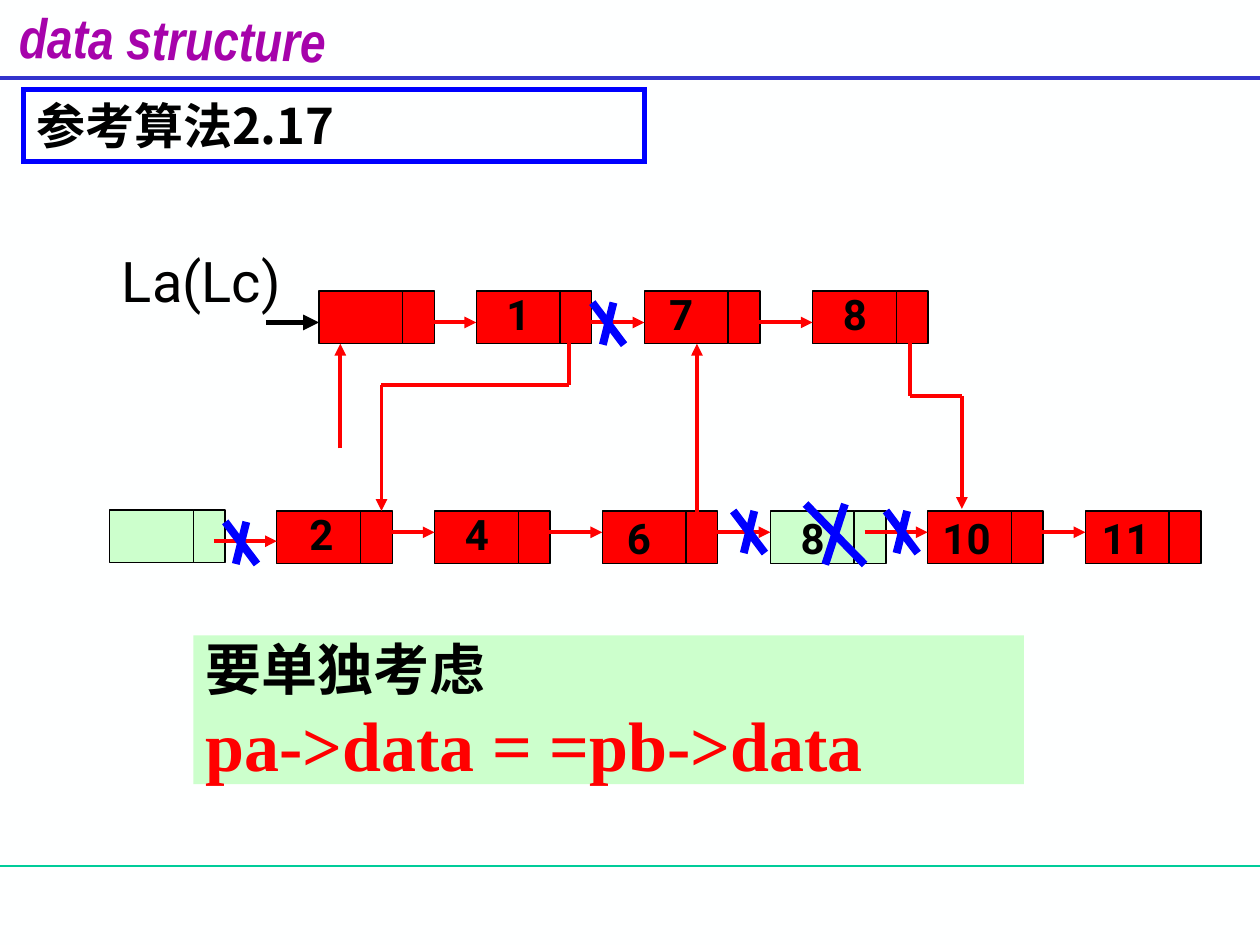
from dataclasses import dataclass

from lxml import etree
from pptx import Presentation
from pptx import util as u
from pptx.dml.color import RGBColor
from pptx.enum import shapes, text
from pptx.oxml.ns import qn


@dataclass(frozen=True)
class Theme:
    paper: str = "FEFFFF"
    ink: str = "000000"
    red: str = "FF0000"
    blue: str = "0000FF"
    green: str = "CCFFCC"
    purple: str = "A603AB"
    header_rule: str = "3333CC"
    footer_rule: str = "00CC99"
    sans: str = "Roboto"
    serif: str = "Times New Roman"
    narrow: str = "Arial Narrow"
    cjk: str = "Noto Sans CJK SC"
    label: int = 24
    heading: int = 28
    large: int = 32
    formula: int = 40


T = Theme()
DATA_W, LINK_W, NODE_H = 1.69, 0.64, 1.06
ARROW = 1.27
TOP_Y, BOTTOM_Y = 5.87, 10.3
# Each node: left edge, label, label offset, fill
TOP_NODES = [(6.43, "", 0, T.red), (9.6, "1", 0.36, T.red),
             (12.99, "7", 0.25, T.red), (16.38, "8", 0.36, T.red)]
BOTTOM_NODES = [(5.58, "2", 0.41, T.red), (8.76, "4", 0.36, T.red),
                (12.14, "6", 0.25, T.red), (15.53, "8", 0.36, T.green),
                (18.7, "10", 0.05, T.red), (21.88, "11", 0.08, T.red)]


def rgb(value):
    return RGBColor.from_string(value)


def add_run(paragraph, words, *, size, color=T.ink, font=T.sans, bold=False, italic=False):
    run = paragraph.add_run()
    run.text = words
    run.font.size, run.font.name = u.Pt(size), font
    run.font.bold, run.font.italic = bold, italic
    run.font.color.rgb = rgb(color)
    east_asian = etree.SubElement(run.font._element, qn("a:ea"))
    east_asian.set("typeface", T.cjk)


def add_label(slide, box, words, *, wrap=False, **style):
    label = slide.shapes.add_textbox(*map(u.Cm, box))
    label.text_frame.word_wrap = wrap
    add_run(label.text_frame.paragraphs[0], words, **style)
    return label


def add_box(slide, box, fill, line=None):
    rect = slide.shapes.add_shape(shapes.MSO_SHAPE.RECTANGLE, *map(u.Cm, box))
    rect.shadow.inherit = False
    rect.fill.solid()
    rect.fill.fore_color.rgb = rgb(fill)
    if line:
        rect.line.color.rgb = rgb(line)
        rect.line.width = u.Pt(0.75)
    else:
        rect.line.fill.background()
    return rect


def add_line(slide, start, end, color=T.red, width=2.25, arrow=False):
    line = slide.shapes.add_connector(
        shapes.MSO_CONNECTOR.STRAIGHT, *map(u.Cm, (*start, *end)))
    line.line.color.rgb = rgb(color)
    line.line.width = u.Pt(width)
    if arrow:
        head = etree.SubElement(line.line._get_or_add_ln(), qn("a:tailEnd"))
        head.set("type", "triangle")
    etree.SubElement(line._element.spPr, qn("a:effectLst"))


def add_path(slide, *points):
    """Joined segments, the last one with an arrowhead."""
    for i, (start, end) in enumerate(zip(points, points[1:]), start=2):
        add_line(slide, start, end, arrow=i == len(points))


def add_cross(slide, x, y, w=0.64, h=0.85):
    add_line(slide, (x + w * 2 / 3, y), (x + w / 3, y + h), T.blue, 4.5)
    add_line(slide, (x, y), (x + w, y + h), T.blue, 4.5)


def add_node(slide, x, y, value="", dx=0, dy=0, fill=T.red):
    add_box(slide, (x, y, DATA_W, NODE_H), fill, T.ink)
    add_box(slide, (x + DATA_W, y, LINK_W, NODE_H), fill, T.ink)
    if value:
        width = 0.5 + 0.49 * len(value)
        add_label(slide, (x + dx, y + dy, width, 1.27), value, size=T.label, bold=True)


def add_next_arrow(slide, x, y):
    add_line(slide, (x - ARROW, y), (x, y), arrow=True)


def build_frame(slide, width):
    """Course name and the rules above and below the content."""
    add_line(slide, (0, 17.46), (width, 17.46), T.footer_rule, 0.75)
    add_line(slide, (0, 1.58), (width, 1.58), T.header_rule)
    course = add_label(slide, (0.14, -0.03, 7.6, 1.37), "data structure", wrap=True,
                       size=T.large, color=T.purple, font=T.narrow, bold=True, italic=True)
    course.rotation = 0.8


def build_heading(slide, box):
    heading = slide.shapes.title
    heading.left, heading.top, heading.width, heading.height = map(u.Cm, box)
    heading.line.color.rgb = rgb(T.blue)
    heading.line.width = u.Pt(3)
    corner = etree.SubElement(heading.line._get_or_add_ln(), qn("a:miter"))
    corner.set("lim", "800000")
    frame = heading.text_frame
    frame.auto_size = text.MSO_AUTO_SIZE.NONE
    frame.vertical_anchor = text.MSO_ANCHOR.MIDDLE
    frame.paragraphs[0].alignment = text.PP_ALIGN.LEFT
    add_run(frame.paragraphs[0], "参考算法2.17", size=T.heading, font=T.cjk, bold=True)


def build_list(slide, nodes, y, arrow_dy):
    for i, (x, value, dx, fill) in enumerate(nodes):
        # Labels sit a little lower from the third bottom node on
        dy = -0.09 if y == BOTTOM_Y and i > 1 else -0.18
        add_node(slide, x, y, value, dx, dy, fill)
    for x, *_ in nodes[1:]:
        add_next_arrow(slide, x, y + arrow_dy)


def build_relinks(slide):
    """Pointers that join the two lists into one."""
    link_y = TOP_Y + 0.63
    add_path(slide, (6.86, 9.04), (6.86, TOP_Y + NODE_H))
    add_path(slide, (11.47, link_y), (11.47, 7.77), (7.69, 7.77), (7.69, BOTTOM_Y))
    add_path(slide, (14.05, 10.74), (14.05, TOP_Y + NODE_H))
    add_path(slide, (18.34, link_y), (18.34, 7.98), (19.39, 7.98), (19.39, 10.26))
    # Head pointer of the merged list
    add_line(slide, (5.36, link_y), (6.43, link_y), T.ink, 3, arrow=True)
    add_label(slide, (2.21, 4.84, 3.76, 1.63), "La(Lc)", wrap=True, size=T.large)


def build_removed(slide):
    """Spare head node and the crossed-out links."""
    add_node(slide, 2.21, 10.28, fill=T.green)
    add_next_arrow(slide, 5.58, 10.91)
    for x, y in [(11.94, 6.1), (14.78, BOTTOM_Y), (4.54, 10.52), (17.86, BOTTOM_Y)]:
        add_cross(slide, x, y)
    add_cross(slide, 16.24, 10.16, 1.19, 1.22)


def build_note(slide, box):
    note = add_box(slide, box, T.green)
    frame = note.text_frame
    frame.word_wrap = True
    frame.vertical_anchor = text.MSO_ANCHOR.MIDDLE
    paragraph = frame.paragraphs[0]
    paragraph.alignment = text.PP_ALIGN.LEFT
    add_run(paragraph, "要单独考虑", size=T.large, font=T.serif, bold=True)
    paragraph.add_line_break()
    add_run(paragraph, "pa->data = =pb->data", size=T.formula, color=T.red,
            font=T.serif, bold=True)


def main():
    deck = Presentation()
    deck.slide_width, deck.slide_height = u.Cm(25.4), u.Cm(19.05)
    slide = deck.slides.add_slide(deck.slide_layouts.get_by_name("Title Only"))
    slide.background.fill.solid()
    slide.background.fill.fore_color.rgb = rgb(T.paper)

    build_frame(slide, 25.4)
    build_heading(slide, (0.48, 1.8, 12.52, 1.45))
    build_note(slide, (3.9, 12.81, 16.74, 3))
    build_list(slide, TOP_NODES, TOP_Y, 0.63)
    build_list(slide, BOTTOM_NODES, BOTTOM_Y, 0.43)
    build_relinks(slide)
    build_removed(slide)
    deck.save("out.pptx")


if __name__ == "__main__":
    main()
